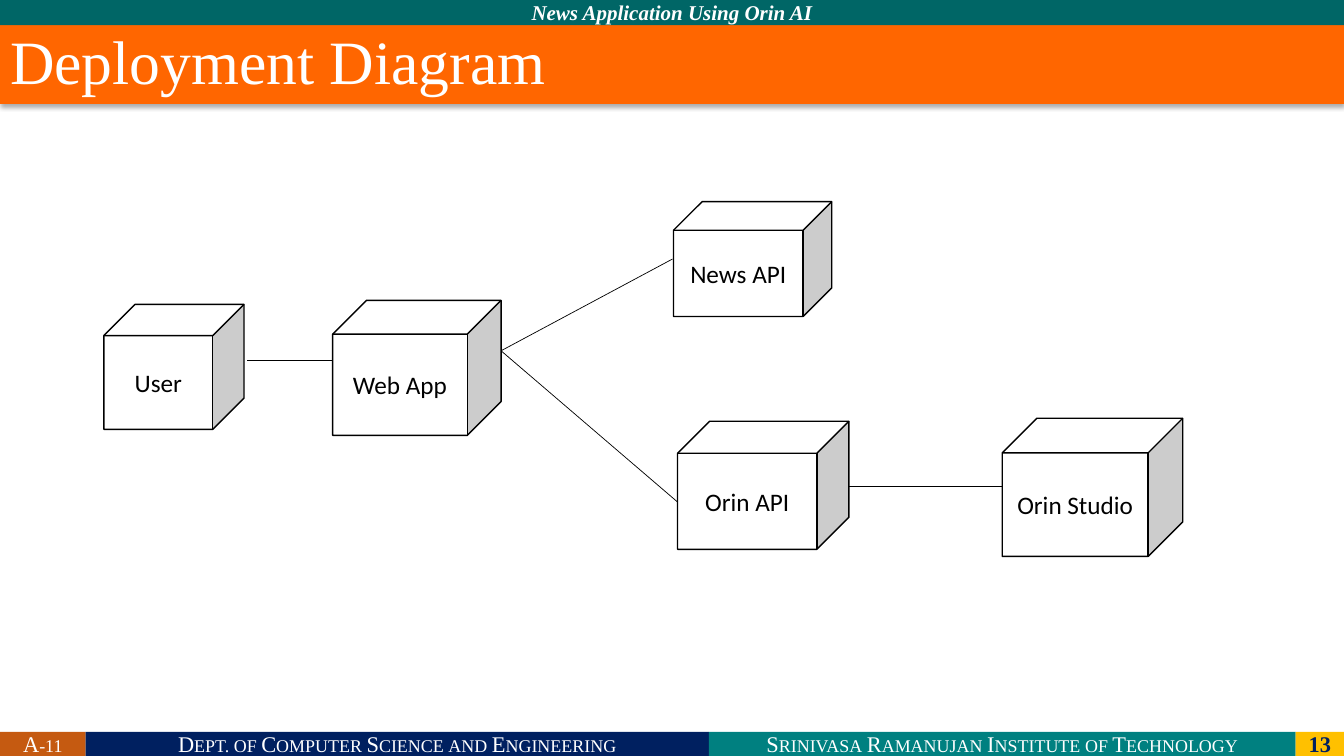
from lxml.etree import SubElement
from pptx import Presentation
from pptx.dml.color import RGBColor
from pptx.enum.shapes import MSO_CONNECTOR, MSO_SHAPE
from pptx.enum.text import MSO_ANCHOR, MSO_AUTO_SIZE, PP_ALIGN
from pptx.oxml import parse_xml
from pptx.oxml.ns import nsdecls, qn
from pptx.util import Inches, Pt

WHITE = RGBColor(0xFF, 0xFF, 0xFF)
BLACK = RGBColor(0x00, 0x00, 0x00)
ORANGE = RGBColor(0xFF, 0x66, 0x00)
DARK_TEAL = RGBColor(0x00, 0x66, 0x66)
TEAL = RGBColor(0x00, 0x80, 0x80)
NAVY = RGBColor(0x00, 0x20, 0x60)
RUST = RGBColor(0xC5, 0x5A, 0x11)
GOLD = RGBColor(0xFF, 0xC0, 0x00)
SERIF, SANS = "Times New Roman", "Calibri"

SLIDE_W, SLIDE_H = 13.33, 7.5
BANNER_H, TITLE_H, FOOTER_H = 0.25, 0.78, 0.24


def write(shape, text, size, font=SERIF, color=WHITE, align=PP_ALIGN.CENTER,
          bold=False, italic=False, small_caps=False, margin=0.0, spacing=None):
    frame = shape.text_frame
    frame.word_wrap = True
    frame.auto_size = MSO_AUTO_SIZE.NONE
    frame.vertical_anchor = MSO_ANCHOR.MIDDLE
    frame.margin_left = frame.margin_right = Inches(margin)
    frame.margin_top = frame.margin_bottom = 0
    paragraph = frame.paragraphs[0]
    paragraph.alignment = align
    if spacing:
        paragraph.line_spacing = spacing
    run = paragraph.add_run()
    run.text = text
    run.font.name = font
    run.font.size = Pt(size)
    run.font.bold = bold
    run.font.italic = italic
    run.font.color.rgb = color
    if small_caps:
        run.font._element.set("cap", "small")


def add_block(slide, kind, box, fill, outline=None):
    block = slide.shapes.add_shape(kind, *map(Inches, box))
    block.shadow.inherit = False
    block.fill.solid()
    block.fill.fore_color.rgb = fill
    if outline is None:
        block.line.fill.background()
    else:
        block.line.color.rgb = outline
        block.line.width = Pt(1)
    return block


def add_footer(slide, left, top, height):
    cells = [
        ("A-11", 0.85, RUST, dict(small_caps=True)),
        ("Dept. of Computer Science and Engineering", 6.18, NAVY, dict(small_caps=True)),
        ("Srinivasa Ramanujan Institute of Technology", 5.82, TEAL, dict(small_caps=True)),
        ("13", 0.48, GOLD, dict(color=NAVY, bold=True)),
    ]
    for text, width, fill, style in cells:
        cell = add_block(slide, MSO_SHAPE.RECTANGLE, (left, top, width, height), fill)
        write(cell, text, 16, **style)
        left += width


def add_header(slide, left, top, width):
    """Place the project banner with the shadowed title bar below it."""
    banner = add_block(slide, MSO_SHAPE.RECTANGLE, (left, top, width, BANNER_H), DARK_TEAL)
    write(banner, "News Application Using Orin AI", 15, bold=True, italic=True)

    title = slide.shapes.title
    title.left, title.top = Inches(left), Inches(top + BANNER_H)
    title.width, title.height = Inches(width), Inches(TITLE_H)
    title.fill.solid()
    title.fill.fore_color.rgb = ORANGE
    write(title, "Deployment Diagram", 44, align=PP_ALIGN.LEFT, margin=0.1, spacing=0.9)
    title._element.spPr.append(parse_xml(
        f'<a:effectLst {nsdecls("a")}>'
        f'<a:outerShdw blurRad="{Pt(3.5)}" dist="{Pt(2.2)}" dir="5400000" '
        'algn="t" rotWithShape="0"><a:srgbClr val="000000"><a:alpha val="32000"/>'
        '</a:srgbClr></a:outerShdw></a:effectLst>'))


def add_link(slide, start, end):
    link = slide.shapes.add_connector(
        MSO_CONNECTOR.STRAIGHT, *map(Inches, start + end))
    link.line.color.rgb = BLACK
    link.line.width = Pt(0.5)
    SubElement(link._element.spPr, qn("a:effectLst"))


def add_deployment(slide, left, top):
    """Draw the links, then the node cubes, measured from the diagram's corner."""
    web_app_out = (3.94, 1.48)
    links = [
        ((1.42, 1.58), (2.26, 1.58)),
        (web_app_out, (5.64, 0.57)),
        (web_app_out, (5.69, 2.98)),
        ((7.39, 2.83), (9, 2.83)),
    ]
    nodes = [
        ("User", 0, 1.02, 1.39, 1.24),
        ("Web App", 2.27, 0.98, 1.67, 1.34),
        ("News API", 5.65, 0, 1.57, 1.14),
        ("Orin API", 5.69, 2.18, 1.7, 1.27),
        ("Orin Studio", 8.91, 2.15, 1.79, 1.37),
    ]
    for ends in links:
        add_link(slide, *((left + x, top + y) for x, y in ends))
    for name, x, y, width, height in nodes:
        node = add_block(slide, MSO_SHAPE.CUBE, (left + x, top + y, width, height),
                         WHITE, outline=BLACK)
        write(node, name, 18, font=SANS, color=BLACK)


def main():
    deck = Presentation()
    deck.slide_width, deck.slide_height = Inches(SLIDE_W), Inches(SLIDE_H)
    slide = deck.slides.add_slide(deck.slide_layouts[5])
    add_footer(slide, 0, SLIDE_H - FOOTER_H, FOOTER_H)
    add_header(slide, 0, 0, SLIDE_W)
    add_deployment(slide, 1.03, 2)
    deck.save("out.pptx")


if __name__ == "__main__":
    main()
